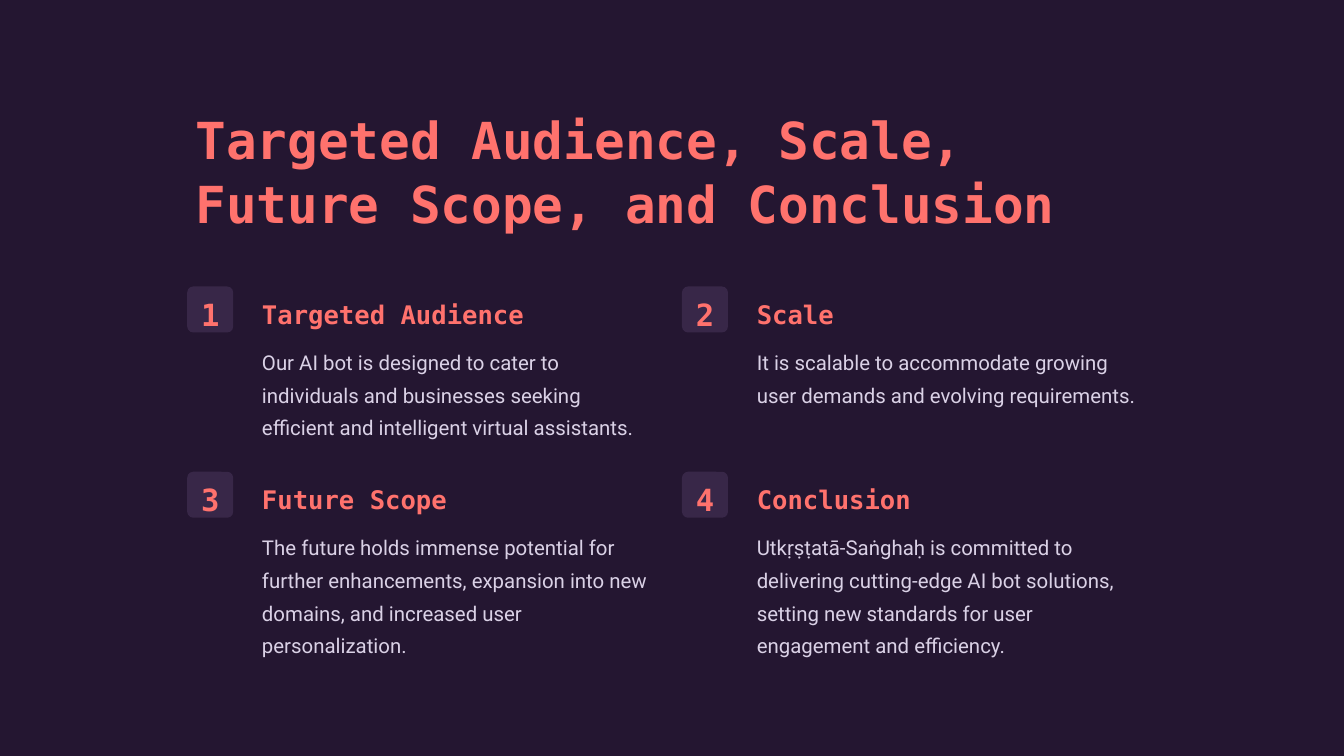
from pptx import Presentation
from pptx.dml.color import RGBColor
from pptx.enum.shapes import MSO_SHAPE
from pptx.enum.text import MSO_AUTO_SIZE, PP_ALIGN
from pptx.util import Pt

COLORS = {"night": "241631", "badge": "382748", "coral": "FF726D", "lilac": "DAD1E6"}
MONO, SANS = "DejaVu Sans Mono", "Roboto"
STYLES = {
    "title": {"size": Pt(43.7), "name": MONO, "bold": True, "color": "coral", "spacing": 54.7},
    "number": {"size": Pt(26.2), "name": MONO, "bold": True, "color": "coral", "spacing": 32.8},
    "heading": {"size": Pt(21.9), "name": MONO, "bold": True, "color": "coral", "spacing": 27.3},
    "body": {"size": Pt(17.5), "name": SANS, "bold": False, "color": "lilac", "spacing": 28},
}
TOPICS = [
    ("Targeted Audience", "Our AI bot is designed to cater to individuals and businesses "
     "seeking efficient and intelligent virtual assistants.", 3),
    ("Scale", "It is scalable to accommodate growing user demands and evolving requirements.", 2),
    ("Future Scope", "The future holds immense potential for further enhancements, expansion "
     "into new domains, and increased user personalization.", 4),
    ("Conclusion", "Utkṛṣṭatā-Saṅghaḥ is committed to delivering cutting-edge AI bot solutions, "
     "setting new standards for user engagement and efficiency.", 4),
]


def add_panel(s, kind, box, color):
    """Add a plain filled shape without outline or shadow."""
    sp = s.shapes.add_shape(kind, *map(Pt, box))
    sp.shadow.inherit = False
    sp.fill.solid()
    sp.fill.fore_color.rgb = RGBColor.from_string(COLORS[color])
    sp.line.fill.background()
    return sp


def add_text(s, box, text, style, wrap=True, align=PP_ALIGN.LEFT):
    """Add a one-paragraph text box of fixed size in a named style."""
    tf = s.shapes.add_textbox(*map(Pt, box)).text_frame
    tf.auto_size = MSO_AUTO_SIZE.NONE
    tf.word_wrap = wrap
    p = tf.paragraphs[0]
    p.alignment = align
    p.line_spacing = Pt(STYLES[style]["spacing"])
    r = p.add_run()
    r.text = text
    for key in ("size", "name", "bold"):
        setattr(r.font, key, STYLES[style][key])
    r.font.color.rgb = RGBColor.from_string(COLORS[STYLES[style]["color"]])


def add_topic(s, box, number, heading, body, lines):
    """Place a numbered badge, heading and body text inside the box."""
    x, y, w = box
    indent = 57
    badge = add_panel(s, MSO_SHAPE.ROUNDED_RECTANGLE, (x, y, 39.4, 39.4), "badge")
    badge.adjustments[0] = 0.13
    add_text(s, (x + 13.2, y + 3.3, 13.2, 33), str(number), "number", False, PP_ALIGN.CENTER)
    add_text(s, (x + indent, y + 6.2, 219, 27.3), heading, "heading", False)
    add_text(s, (x + indent, y + 43.8, w - indent, 28 * lines), body, "body")


def add_topics(s, box):
    """Lay the topics out in two columns inside the box."""
    x, y, w, row_step = box
    gap = 17.2
    col_w = (w - gap) / 2
    for i, topic in enumerate(TOPICS):
        row, col = divmod(i, 2)
        add_topic(s, (x + col * (col_w + gap), y + row * row_step, col_w), i + 1, *topic)


def main():
    """Build and save the slide."""
    prs = Presentation()
    prs.slide_width, prs.slide_height = Pt(1152), Pt(648)
    s = prs.slides.add_slide(prs.slide_layouts[6])
    add_panel(s, MSO_SHAPE.RECTANGLE, (0, 0, 1152, 648), "night")
    left, width = 160.5, 831
    add_text(s, (left, 87.4, width, 109.4),
             "Targeted Audience, Scale, Future Scope, and Conclusion", "title")
    add_topics(s, (left, 245.6, width, 158.8))
    prs.save("out.pptx")


if __name__ == "__main__":
    main()
